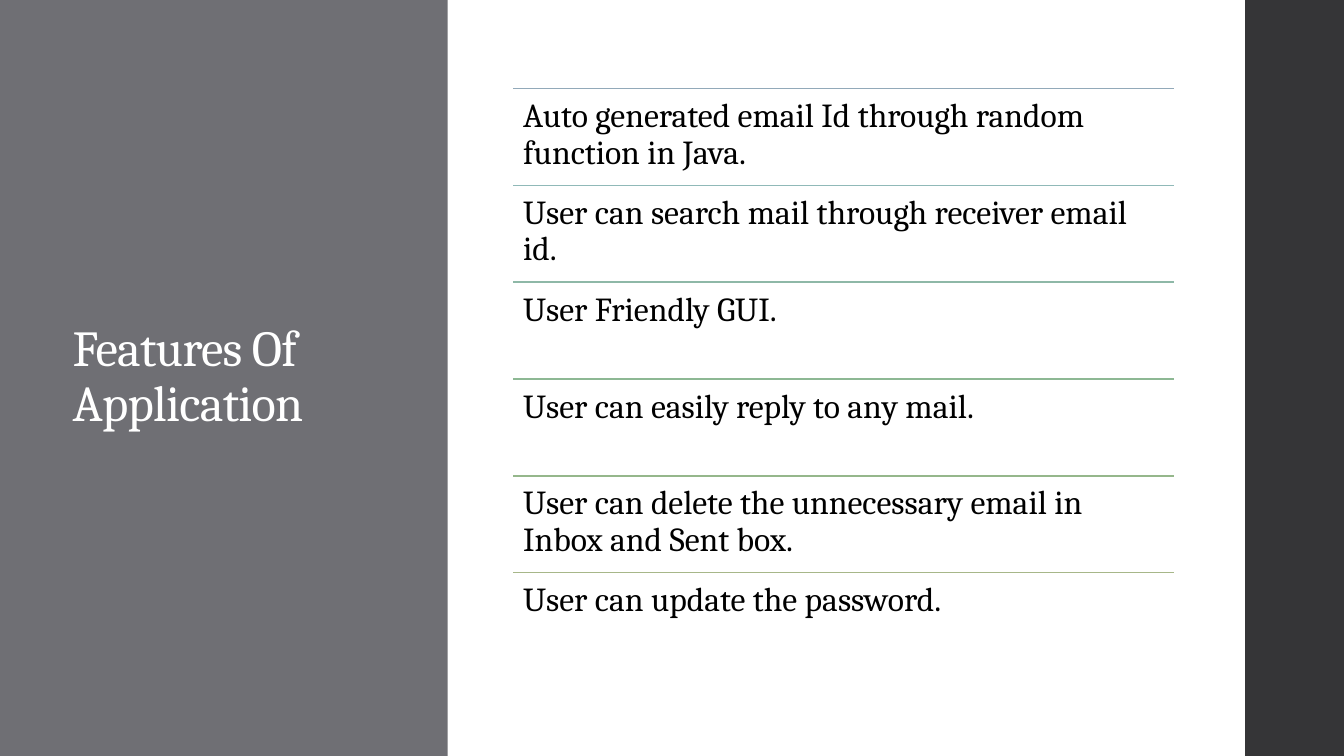
import dataclasses

import pptx
import pptx.dml.color
import pptx.enum.shapes
import pptx.enum.text
import pptx.oxml
import pptx.oxml.ns
import pptx.shapes.autoshape
import pptx.slide
import pptx.text.text
import pptx.util

Inches = pptx.util.Inches
Pt = pptx.util.Pt
RGBColor = pptx.dml.color.RGBColor

WHITE = RGBColor(0xFF, 0xFF, 0xFF)
BLACK = RGBColor(0x00, 0x00, 0x00)
TITLE_GRAY = RGBColor(0x6F, 0x6F, 0x74)
EDGE_GRAY = RGBColor(0x35, 0x35, 0x37)
RULE_BLUE = RGBColor(0x92, 0xA9, 0xB9)
RULE_TEAL = RGBColor(0x90, 0xB9, 0xB8)
RULE_SEA = RGBColor(0x8E, 0xB8, 0xA7)
RULE_GREEN = RGBColor(0x8D, 0xB8, 0x94)
RULE_LEAF = RGBColor(0x95, 0xB7, 0x8B)
RULE_OLIVE = RGBColor(0xA7, 0xB7, 0x89)

FONT = "Cambria"
SLIDE_WIDTH = 13.33
SLIDE_HEIGHT = 7.5
LIST_LEFT = 5.09
LIST_TOP = 0.88
LIST_WIDTH = 6.55
ROW_HEIGHT = 0.96


@dataclasses.dataclass(frozen=True)
class Panel:
    left: float
    width: float
    color: RGBColor


@dataclasses.dataclass(frozen=True)
class Feature:
    text: str
    rule_color: RGBColor


PANELS = [Panel(0, 4.44, TITLE_GRAY), Panel(12.35, SLIDE_WIDTH - 12.35, EDGE_GRAY)]

FEATURES = [
    Feature("Auto generated email Id through random function in Java.", RULE_BLUE),
    Feature("User can search mail through receiver email id.", RULE_TEAL),
    Feature("User Friendly GUI.", RULE_SEA),
    Feature("User can easily reply to any mail.", RULE_GREEN),
    Feature("User can delete the unnecessary email in Inbox and Sent box.", RULE_LEAF),
    Feature("User can update the password.", RULE_OLIVE),
]


def write(
    frame: pptx.text.text.TextFrame, text: str, size: float, color: RGBColor
) -> pptx.text.text._Run:
    frame.word_wrap = True
    frame.auto_size = pptx.enum.text.MSO_AUTO_SIZE.NONE
    paragraph = frame.paragraphs[0]
    paragraph.alignment = pptx.enum.text.PP_ALIGN.LEFT
    paragraph.line_spacing = 0.9
    run = paragraph.add_run()
    run.text = text
    run.font.name = FONT
    run.font.size = Pt(size)
    run.font.color.rgb = color
    return run


def draw_panel(slide: pptx.slide.Slide, panel: Panel) -> None:
    block = slide.shapes.add_shape(
        pptx.enum.shapes.MSO_SHAPE.RECTANGLE,
        Inches(panel.left), Inches(0), Inches(panel.width), Inches(SLIDE_HEIGHT),
    )
    block.shadow.inherit = False
    block.fill.solid()
    block.fill.fore_color.rgb = panel.color
    block.line.fill.background()


def draw_title(slide: pptx.slide.Slide) -> None:
    title = slide.shapes.title
    slide.shapes._spTree.append(title._element)
    title.left, title.top = Inches(0.62), Inches(0.91)
    title.width, title.height = Inches(2.97), Inches(5.67)
    title.text_frame.vertical_anchor = pptx.enum.text.MSO_ANCHOR.MIDDLE
    heading = write(title.text_frame, "Features Of Application", 36, WHITE)
    heading.font._element.set("spc", "-50")


def draw_feature(slide: pptx.slide.Slide, feature: Feature, top: float) -> None:
    rule = slide.shapes.add_connector(
        pptx.enum.shapes.MSO_CONNECTOR.STRAIGHT,
        Inches(LIST_LEFT), Inches(top), Inches(LIST_LEFT + LIST_WIDTH), Inches(top),
    )
    rule.line.color.rgb = feature.rule_color
    rule.line.width = Pt(1.1)
    rule._element.spPr.append(
        pptx.oxml.parse_xml(f"<a:effectLst {pptx.oxml.ns.nsdecls('a')}/>")
    )

    entry = slide.shapes.add_textbox(
        Inches(LIST_LEFT), Inches(top), Inches(LIST_WIDTH), Inches(ROW_HEIGHT)
    )
    frame = entry.text_frame
    frame.margin_left = frame.margin_right = Inches(0.1)
    frame.margin_top = frame.margin_bottom = Inches(0.1)
    write(frame, feature.text, 24, BLACK)


def main() -> None:
    deck = pptx.Presentation()
    deck.slide_width = Inches(SLIDE_WIDTH)
    deck.slide_height = Inches(SLIDE_HEIGHT)
    slide = deck.slides.add_slide(deck.slide_layouts.get_by_name("Title Only"))
    for panel in PANELS:
        draw_panel(slide, panel)
    draw_title(slide)
    for row, feature in enumerate(FEATURES):
        draw_feature(slide, feature, LIST_TOP + row * ROW_HEIGHT)
    deck.save("out.pptx")


if __name__ == "__main__":
    main()
